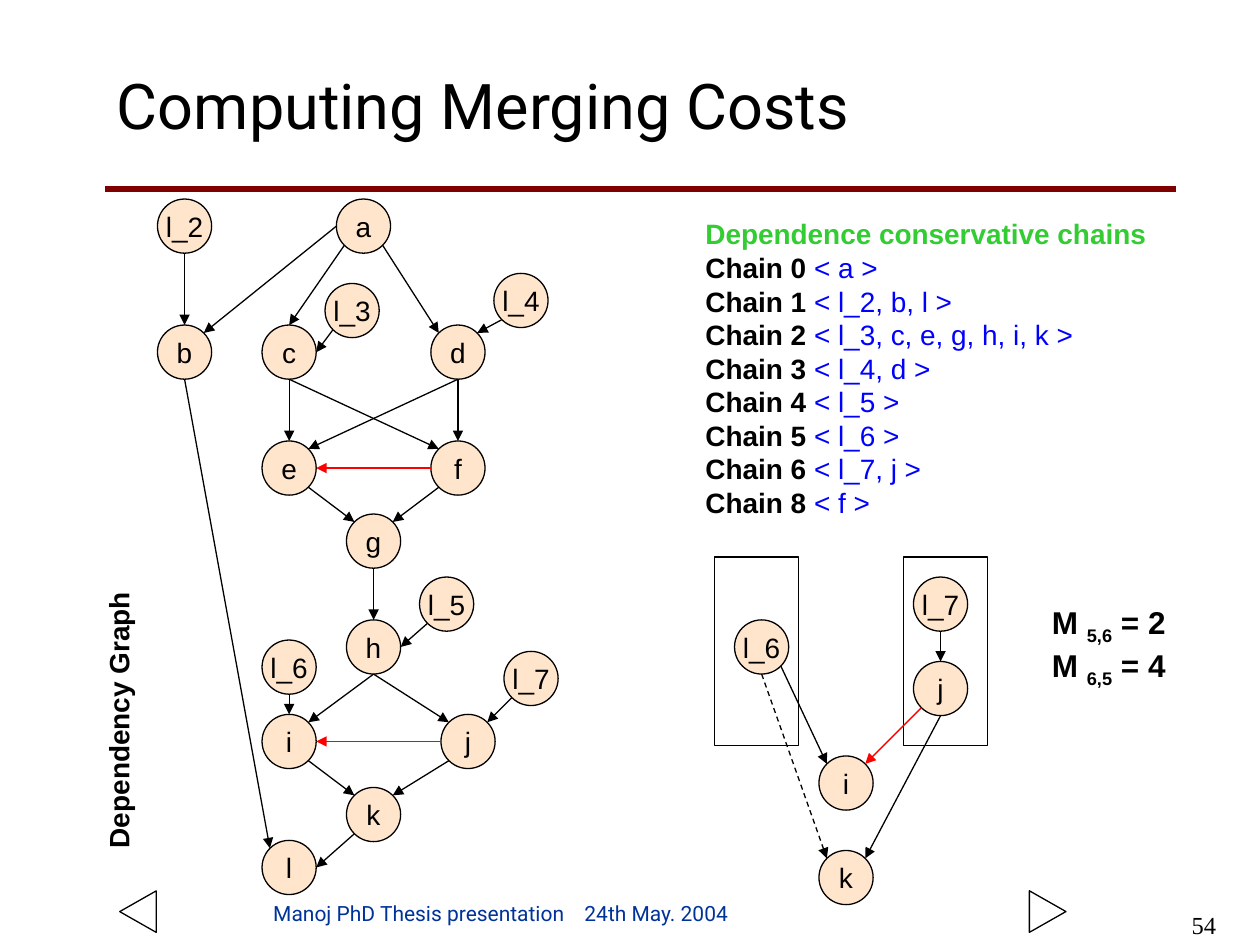
"""Build the slide on computing merging costs."""
from lxml import etree
from pptx import Presentation
from pptx.dml.color import RGBColor
from pptx.enum.dml import MSO_LINE
from pptx.enum.shapes import MSO_CONNECTOR, MSO_SHAPE
from pptx.enum.text import MSO_ANCHOR, MSO_AUTO_SIZE, PP_ALIGN
from pptx.oxml.ns import qn
from pptx.util import Inches, Pt

STRAIGHT = MSO_CONNECTOR.STRAIGHT
OVAL, RECTANGLE, TRIANGLE = MSO_SHAPE.OVAL, MSO_SHAPE.RECTANGLE, MSO_SHAPE.ISOSCELES_TRIANGLE
DASH = MSO_LINE.DASH
TOP, MIDDLE, BOTTOM = MSO_ANCHOR.TOP, MSO_ANCHOR.MIDDLE, MSO_ANCHOR.BOTTOM
GROW = MSO_AUTO_SIZE.SHAPE_TO_FIT_TEXT
LEFT, CENTER, RIGHT = PP_ALIGN.LEFT, PP_ALIGN.CENTER, PP_ALIGN.RIGHT

COLORS = {
    "ink": "000000", "paper": "FFFFFF", "rule": "800000", "node": "FFCC99",
    "heading": "33CC33", "chain": "0000FF", "merge": "FF0000", "footer": "003399",
}
NODE_SIZE = 0.43
DIAGONAL = 0.71
PORTS = {
    "N": (0, -1), "S": (0, 1), "W": (-1, 0), "E": (1, 0),
    "NW": (-DIAGONAL, -DIAGONAL), "NE": (DIAGONAL, -DIAGONAL),
    "SW": (-DIAGONAL, DIAGONAL), "SE": (DIAGONAL, DIAGONAL),
}

DEPENDENCY_NODES = {
    "b": (1.25, 2.58), "l_4": (3.92, 2.17), "d": (3.42, 2.58), "a": (2.67, 1.58),
    "l_2": (1.25, 1.58), "l_3": (2.58, 2.25), "c": (2.08, 2.58), "h": (2.75, 4.92),
    "l_5": (3.33, 4.58), "e": (2.08, 3.5), "f": (3.42, 3.5), "i": (2.08, 5.67),
    "g": (2.75, 4.08), "l_7": (4, 5.17), "j": (3.5, 5.67), "k": (2.75, 6.25),
    "l_6": (2.08, 5.08), "l": (2.08, 6.67),
}
DEPENDENCY_EDGES = [
    ("l_2", "S", "b", "N"), ("a", "SW", "c", "N"), ("l_3", "SW", "c", "E"),
    ("a", "SE", "d", "NW"), ("a", "W", "b", "NE"), ("l_4", "SW", "d", "NE"),
    ("c", "S", "e", "N"), ("c", "S", "f", "NW"), ("d", "S", "f", "N"),
    ("d", "S", "e", "NE"), ("e", "SE", "g", "NW"), ("f", "SW", "g", "NE"),
    ("g", "S", "h", "N"), ("l_6", "S", "i", "N"), ("l_7", "SW", "j", "NE"),
    ("h", "S", "i", "NE"), ("h", "S", "j", "NW"), ("i", "SE", "k", "NW"),
    ("j", "SW", "k", "NE"), ("k", "SW", "l", "E"), ("b", "S", "l", "NW"),
    ("l_5", "SW", "h", "E"), ("f", "W", "e", "E", "merge"), ("j", "W", "i", "E", "merge"),
]
MERGE_NODES = {
    "l_6": (5.83, 4.92), "l_7": (7.25, 4.58), "j": (7.25, 5.25),
    "i": (6.5, 6), "k": (6.5, 6.75),
}
MERGE_EDGES = [
    ("l_7", "S", "j", "N"), ("l_6", "SE", "i", "NW"), ("j", "SW", "i", "NE", "merge"),
    ("l_6", "S", "k", "NW", "ink", DASH), ("j", "S", "k", "NE"),
]
CHAINS = [
    (0, "a"), (1, "l_2, b, l"), (2, "l_3, c, e, g, h, i, k"), (3, "l_4, d"),
    (4, "l_5"), (5, "l_6"), (6, "l_7, j"), (8, "f"),
]
COSTS = [("5,6", 2), ("6,5", 4)]


def rgb(name):
    """Return the named colour."""
    return RGBColor.from_string(COLORS[name])


def add_run(paragraph, text, size, color="ink", bold=False, font="Arial", baseline=0):
    """Append one formatted run to a paragraph."""
    run = paragraph.add_run()
    run.text = text
    run.font.size = Pt(size)
    run.font.name = font
    run.font.bold = bold
    run.font.color.rgb = rgb(color)
    if baseline:
        run.font._element.set("baseline", str(baseline * 1000))


def add_text(slide, box, lines, anchor=BOTTOM, align=LEFT, wrap=True, grow=False):
    """Add a text box whose lines are lists of add_run arguments."""
    label = slide.shapes.add_textbox(*map(Inches, box))
    frame = label.text_frame
    frame.word_wrap = wrap
    frame.vertical_anchor = anchor
    if grow:
        frame.auto_size = GROW
    for number, runs in enumerate(lines):
        paragraph = frame.add_paragraph() if number else frame.paragraphs[0]
        paragraph.alignment = align
        for run in runs:
            add_run(paragraph, **run)
    return label


def add_outline(slide, preset, box, fill=None, rotation=0):
    """Add a thin black preset shape, filled or open."""
    outline = slide.shapes.add_shape(preset, *map(Inches, box))
    outline.shadow.inherit = False
    outline.rotation = rotation
    outline.line.color.rgb = rgb("ink")
    outline.line.width = Pt(0.75)
    if fill:
        outline.fill.solid()
        outline.fill.fore_color.rgb = rgb(fill)
    else:
        outline.fill.background()
    return outline


def add_node(slide, name, corner):
    """Add a half-transparent labelled graph node."""
    node = add_outline(slide, OVAL, (*corner, NODE_SIZE, NODE_SIZE), "node")
    tint = node._element.spPr.find(qn("a:solidFill"))[0]
    etree.SubElement(tint, qn("a:alpha")).set("val", "50000")
    frame = node.text_frame
    frame.word_wrap = False
    frame.vertical_anchor = MIDDLE
    frame.paragraphs[0].alignment = CENTER
    add_run(frame.paragraphs[0], name, 16)


def add_line(slide, start, end, color="ink", width=0.75):
    """Add a straight line without a shadow."""
    line = slide.shapes.add_connector(STRAIGHT, *map(Inches, (*start, *end)))
    line.line.color.rgb = rgb(color)
    line.line.width = Pt(width)
    etree.SubElement(line._element.spPr, qn("a:effectLst"))
    return line


def port(corner, side):
    """Return the point on a node's rim at a compass direction."""
    radius = NODE_SIZE / 2
    return [edge + radius * (1 + step) for edge, step in zip(corner, PORTS[side])]


def add_edge(slide, nodes, source, exit_side, target, entry_side, color="ink", dash=None):
    """Add an arrow between two nodes of a graph."""
    edge = add_line(slide, port(nodes[source], exit_side), port(nodes[target], entry_side), color)
    if dash:
        edge.line.dash_style = dash
    etree.SubElement(edge.line._get_or_add_ln(), qn("a:tailEnd")).set("type", "triangle")


def add_graph(slide, nodes, edges):
    """Add all nodes and then all edges of a graph."""
    for name, corner in nodes.items():
        add_node(slide, name, corner)
    for edge in edges:
        add_edge(slide, nodes, *edge)


def add_footer(slide):
    """Add the talk name and date, parted by a tab stop, and the page number."""
    words = "Manoj PhD Thesis presentation\t24th May. 2004"
    footer = add_text(slide, (2.07, 7.07, 5.58, 0.33),
                      [[dict(text=words, size=12, color="footer", font="Roboto")]])
    properties = footer.text_frame.paragraphs[0]._p.get_or_add_pPr()
    stops = etree.SubElement(properties, qn("a:tabLst"))
    etree.SubElement(stops, qn("a:tab"), pos=str(Inches(2.47)), algn="l")
    add_text(slide, (9.08, 7.17, 0.67, 0.33),
             [[dict(text="54", size=14, font="Times New Roman")]], TOP, RIGHT)


def main():
    """Build and save the slide."""
    deck = Presentation()
    deck.slide_width, deck.slide_height = Inches(10), Inches(7.5)
    slide = deck.slides.add_slide(deck.slide_layouts[6])

    add_line(slide, (0.83, 1.5), (9.33, 1.5), "rule", 3)
    for left, rotation in ((0.93, 270), (8.15, 90)):
        add_outline(slide, TRIANGLE, (left, 7.09, 0.33, 0.29), rotation=rotation)
    add_text(slide, (0.83, 0.33, 7.75, 1),
             [[dict(text="Computing Merging Costs", size=36, font="Roboto")]], MIDDLE)

    heading = dict(text="Dependence conservative chains", size=16, color="heading", bold=True)
    chains = [[dict(text=f"Chain {number} ", size=16, bold=True),
               dict(text=f"< {members} >", size=16, color="chain")]
              for number, members in CHAINS]
    add_text(slide, (5.5, 1.67, 3.75, 2.5), [[heading], *chains], grow=True)

    add_graph(slide, DEPENDENCY_NODES, DEPENDENCY_EDGES)
    caption = add_text(slide, (-0.23, 5.48, 2.33, 0.37),
                       [[dict(text="Dependency Graph", size=16, bold=True)]], grow=True)
    caption.rotation = 270

    for left in (5.67, 7.17):
        add_outline(slide, RECTANGLE, (left, 4.42, 0.67, 1.5), "paper")
    add_graph(slide, MERGE_NODES, MERGE_EDGES)
    costs = [[dict(text="M ", size=18, bold=True),
              dict(text=pair, size=18, bold=True, baseline=-25),
              dict(text=f" = {cost}", size=18, bold=True)] for pair, cost in COSTS]
    add_text(slide, (8.25, 4.74, 1.1, 0.78), costs, wrap=False, grow=True)
    add_footer(slide)
    deck.save("out.pptx")


if __name__ == "__main__":
    main()
